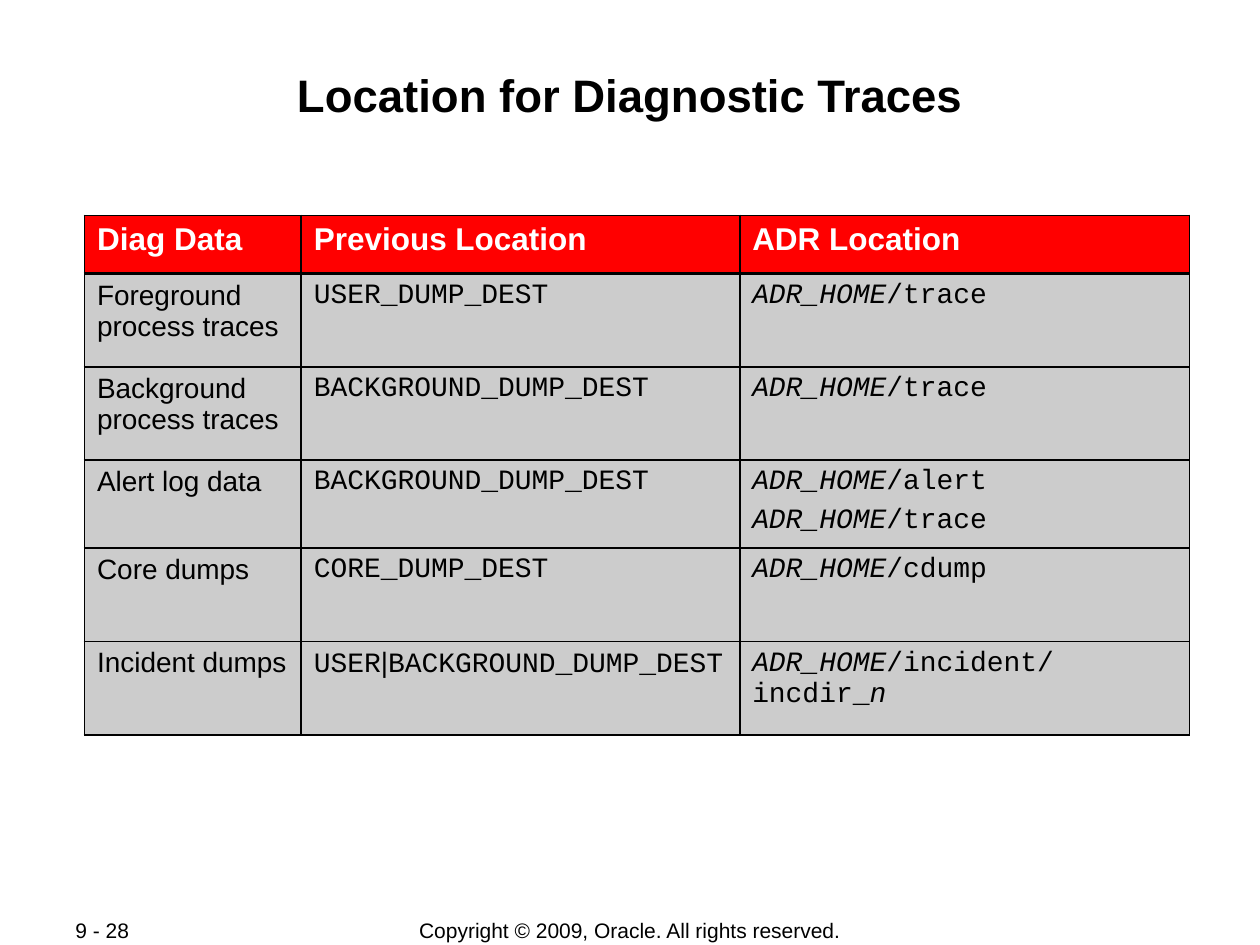
"""Build the slide that maps diagnostic data to its previous and ADR locations."""
from dataclasses import dataclass

from lxml import etree
from pptx import Presentation
from pptx.dml.color import RGBColor
from pptx.enum.text import MSO_ANCHOR, PP_ALIGN
from pptx.oxml.ns import qn
from pptx.util import Pt

CENTER, LEFT, JUSTIFY = PP_ALIGN.CENTER, PP_ALIGN.LEFT, PP_ALIGN.JUSTIFY
TOP, MIDDLE = MSO_ANCHOR.TOP, MSO_ANCHOR.MIDDLE

BLACK = RGBColor(0x00, 0x00, 0x00)
WHITE = RGBColor(0xFF, 0xFF, 0xFF)
RED = RGBColor(0xFF, 0x00, 0x00)
GRAY = RGBColor(0xCC, 0xCC, 0xCC)

SANS, MONO = "Arial", "Courier New"
TITLE_FONT = {"name": SANS, "size": Pt(26), "bold": True}
HEADER_FONT = {"name": SANS, "size": Pt(18), "bold": True}
LABEL_FONT = {"name": SANS, "size": Pt(16), "bold": False}
CODE_FONT = {**LABEL_FONT, "name": MONO}
VARIABLE_FONT = {**CODE_FONT, "italic": True}
FOOTER_FONT = {"name": SANS, "size": Pt(12)}

THIN, THICK = Pt(1.08), Pt(2.21)
COLUMN_WIDTHS = (123.84, 250.56, 257.04)
HEADER_HEIGHT = 33.3
ROW_HEIGHTS = (53.3, 53.3, 50.3, 53.3, 53.3)


@dataclass(frozen=True)
class Span:
    text: str
    font: dict


@dataclass(frozen=True)
class Trace:
    data: str
    previous: tuple[Span, ...]
    locations: tuple[tuple[Span, ...], ...]


@dataclass(frozen=True)
class Footer:
    text: str
    left: float
    width: float
    alignment: PP_ALIGN


def code(text: str) -> Span:
    return Span(text, CODE_FONT)


def adr(folder: str) -> tuple[Span, ...]:
    return Span("ADR_HOME", VARIABLE_FONT), code(folder)


BACKGROUND_DEST = code("BACKGROUND_DUMP_DEST")
HEADINGS = ("Diag Data", "Previous Location", "ADR Location")
TRACES = (
    Trace("Foreground process traces", (code("USER_DUMP_DEST"),), (adr("/trace"),)),
    Trace("Background process traces", (BACKGROUND_DEST,), (adr("/trace"),)),
    Trace("Alert log data", (BACKGROUND_DEST,), (adr("/alert"), adr("/trace"))),
    Trace("Core dumps", (code("CORE_DUMP_DEST"),), (adr("/cdump"),)),
    Trace(
        "Incident dumps",
        (code("USER"), Span("|", LABEL_FONT), BACKGROUND_DEST),
        ((*adr("/incident/incdir_"), Span("n", VARIABLE_FONT)),),
    ),
)
FOOTERS = (
    Footer("Copyright © 2009, Oracle. All rights reserved.", 198, 324, CENTER),
    Footer("9 - 28", 36, 76, JUSTIFY),
)


def apply(target, values: dict) -> None:
    for attribute, value in values.items():
        setattr(target, attribute, value)


def write(frame, lines, color: RGBColor, alignment: PP_ALIGN = LEFT) -> None:
    for index, spans in enumerate(lines):
        paragraph = frame.add_paragraph() if index else frame.paragraphs[0]
        paragraph.alignment = alignment
        paragraph.space_before = Pt(4 if index else 0)
        for span in spans:
            run = paragraph.add_run()
            run.text = span.text
            apply(run.font, span.font)
            run.font.color.rgb = color


def draw_borders(cell, **widths: int) -> None:
    properties = cell._tc.get_or_add_tcPr()
    for position, (side, width) in enumerate(widths.items()):
        line = etree.Element(qn(f"a:ln{side}"), w=str(width))
        fill = etree.SubElement(line, qn("a:solidFill"))
        etree.SubElement(fill, qn("a:srgbClr"), val=str(BLACK))
        properties.insert(position, line)


def add_title(slide, text: str) -> None:
    title = slide.shapes.title
    apply(title, {"left": Pt(48), "top": Pt(34.5), "width": Pt(624), "height": Pt(69)})
    frame = title.text_frame
    apply(frame, {
        "margin_left": Pt(0.72), "margin_right": Pt(0.72), "margin_top": Pt(4),
        "margin_bottom": Pt(0.72), "vertical_anchor": TOP, "word_wrap": True,
    })
    write(frame, [[Span(text, TITLE_FONT)]], BLACK, CENTER)


def add_trace_table(slide) -> None:
    heights = (HEADER_HEIGHT, *ROW_HEIGHTS)
    table = slide.shapes.add_table(
        len(heights), len(COLUMN_WIDTHS), Pt(48.3), Pt(123.1),
        Pt(sum(COLUMN_WIDTHS)), Pt(sum(heights)),
    ).table
    apply(table, {"first_row": False, "horz_banding": False})
    for column, width in zip(table.columns, COLUMN_WIDTHS):
        column.width = Pt(width)
    for row, height in zip(table.rows, heights):
        row.height = Pt(height)

    contents = [[[[Span(heading, HEADER_FONT)]] for heading in HEADINGS]]
    for trace in TRACES:
        contents.append([[[Span(trace.data, LABEL_FONT)]], [trace.previous], trace.locations])

    for row_index, row in enumerate(contents):
        for column_index, lines in enumerate(row):
            cell = table.cell(row_index, column_index)
            cell.fill.solid()
            cell.fill.fore_color.rgb = GRAY if row_index else RED
            write(cell.text_frame, lines, BLACK if row_index else WHITE)
            draw_borders(
                cell, L=THIN, R=THIN,
                T=THICK if row_index == 1 else THIN,
                B=THIN if row_index else THICK,
            )


def add_footer(slide, footer: Footer) -> None:
    box = slide.shapes.add_textbox(Pt(footer.left), Pt(524.2), Pt(footer.width), Pt(15))
    apply(box.text_frame, {"word_wrap": True, "vertical_anchor": MIDDLE})
    write(box.text_frame, [[Span(footer.text, FOOTER_FONT)]], BLACK, footer.alignment)


def main() -> None:
    presentation = Presentation()
    apply(presentation, {"slide_width": Pt(720), "slide_height": Pt(540)})
    slide = presentation.slides.add_slide(presentation.slide_layouts[5])
    for footer in FOOTERS:
        add_footer(slide, footer)
    add_title(slide, "Location for Diagnostic Traces")
    add_trace_table(slide)
    presentation.save("out.pptx")


if __name__ == "__main__":
    main()
